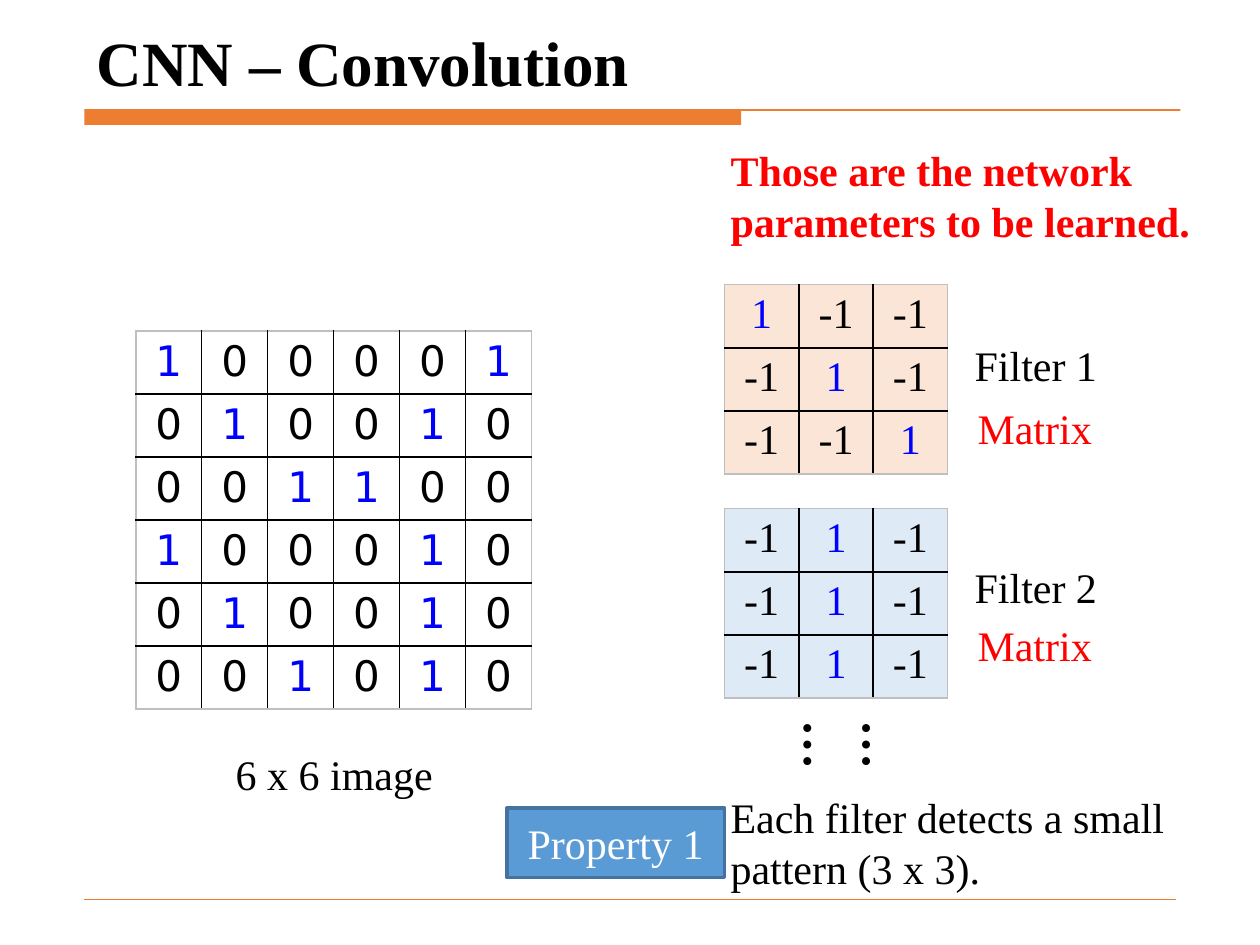
from lxml.etree import SubElement
from pptx import Presentation
from pptx.dml.color import RGBColor
from pptx.enum.shapes import MSO_CONNECTOR, MSO_SHAPE
from pptx.enum.text import MSO_ANCHOR, MSO_AUTO_SIZE, PP_ALIGN
from pptx.oxml.ns import qn
from pptx.util import Pt

SERIF, SANS = "Times New Roman", "DejaVu Sans"
BLACK, BLUE, RED, ORANGE = "000000", "0000FF", "FF0000", "ED7D31"
IMAGE = ["100001", "010010", "001100", "100010", "010010", "001010"]
FILTERS = [
    ("Filter 1", "FBE5D6", [(1, -1, -1), (-1, 1, -1), (-1, -1, 1)], 162.7, 28, 63.8),
    ("Filter 2", "DEEBF7", [(-1, 1, -1)] * 3, 290.7, 26.6, 59.6),
]


def rgb(value):
    """Turn a hex string into a colour."""
    return RGBColor.from_string(value)


def write(tf, text, size=24, color=BLACK, bold=False, font=SERIF, align=PP_ALIGN.LEFT):
    """Write one formatted paragraph into a text frame."""
    p = tf.paragraphs[0]
    p.alignment = align
    r = p.add_run()
    r.text = text
    r.font.name, r.font.size, r.font.bold = font, Pt(size), bold
    r.font.color.rgb = rgb(color)


def add_text(slide, box, text, rotation=0, **fmt):
    """Add a wrapped text box."""
    sp = slide.shapes.add_textbox(*map(Pt, box))
    sp.rotation = rotation
    sp.text_frame.word_wrap = True
    write(sp.text_frame, text, **fmt)


def paint(sp, fill, border=None):
    """Give a shape a flat fill and an optional border colour."""
    sp.shadow.inherit = False
    sp.fill.solid()
    sp.fill.fore_color.rgb = rgb(fill)
    if border:
        sp.line.color.rgb = rgb(border)
        sp.line.width = Pt(2)
    else:
        sp.line.fill.background()


def add_footer_rule(slide, left, y, width):
    """Add the thin orange line near the foot of the slide."""
    rule = slide.shapes.add_connector(MSO_CONNECTOR.STRAIGHT, Pt(left), Pt(y), Pt(left + width), Pt(y))
    rule._element.remove(rule._element.find(qn("p:style")))
    rule.line.color.rgb = rgb(ORANGE)
    rule.line.width = Pt(0.25)
    SubElement(rule._element.spPr, qn("a:effectLst"))


def set_borders(cell, outer):
    """Draw black inner edges and grey edges on the named outer sides."""
    for side in "LRTB":
        ln = SubElement(cell._tc.get_or_add_tcPr(), qn(f"a:ln{side}"), w=str(Pt(1)))
        fill = SubElement(ln, qn("a:solidFill"))
        SubElement(fill, qn("a:srgbClr"), val="BFBFBF" if side in outer else BLACK)


def add_matrix(slide, left, top, col_width, values, font=SERIF, fill=None):
    """Add a grid of numbers with every 1 in blue."""
    rows, cols, height = len(values), len(values[0]), 36
    frame = slide.shapes.add_table(rows, cols, Pt(left), Pt(top), Pt(col_width * cols), Pt(height * rows))
    table = frame.table
    table.first_row = table.horz_banding = False
    for col in table.columns:
        col.width = Pt(col_width)
    for i, row in enumerate(values):
        for j, value in enumerate(row):
            cell = table.cell(i, j)
            edges = {"L": j == 0, "R": j == cols - 1, "T": i == 0, "B": i == rows - 1}
            set_borders(cell, [side for side, on in edges.items() if on])
            if fill:
                cell.fill.solid()
                cell.fill.fore_color.rgb = rgb(fill)
            else:
                cell.fill.background()
            text = str(value)
            write(cell.text_frame, text, font=font, align=PP_ALIGN.CENTER,
                  color=BLUE if text == "1" else BLACK)


def add_header(slide, left, top, width, height, text):
    """Place the title with the stepped orange bar below it."""
    title = slide.shapes.title
    title.left, title.top, title.width, title.height = map(Pt, (left, top, width, height))
    tf = title.text_frame
    tf.auto_size = MSO_AUTO_SIZE.NONE
    tf.vertical_anchor = MSO_ANCHOR.BOTTOM
    write(tf, text, size=36, bold=True)
    y, step, right = top + height + 1.9, left + 375.3, left + 626.4
    corners = [(right, y), (right, y + 1), (step, y + 1), (step, y + 9), (left, y + 9)]
    builder = slide.shapes.build_freeform(Pt(left), Pt(y))
    builder.add_line_segments([(Pt(px), Pt(py)) for px, py in corners], close=True)
    paint(builder.convert_to_shape(), ORANGE)


def add_image(slide, left, top):
    """Place the input image grid and its caption."""
    add_matrix(slide, left, top, 37.7, IMAGE, font=SANS)
    add_text(slide, (left + 20.9, top + 235.2, 185, 36), "6 x 6 image", align=PP_ALIGN.CENTER)


def add_filter(slide, left, top, name, fill, values, name_dy, matrix_dy):
    """Place a filter matrix with its two labels on the right."""
    add_matrix(slide, left, top, 42.5, values, fill=fill)
    add_text(slide, (left + 121, top + name_dy, 113.8, 36), name, align=PP_ALIGN.CENTER)
    add_text(slide, (left + 137.5, top + matrix_dy, 80.6, 36), "Matrix", color=RED)


def add_property(slide, left, top, width, height):
    """Place the property tag and its explanation."""
    tag = slide.shapes.add_shape(MSO_SHAPE.RECTANGLE, *map(Pt, (left, top, width, height)))
    paint(tag, "5B9BD5", "43739E")
    tag.text_frame.vertical_anchor = MSO_ANCHOR.MIDDLE
    write(tag.text_frame, "Property 1", color="FFFFFF", align=PP_ALIGN.CENTER)
    add_text(slide, (left + width - 3.6, top - 13, 280, 65.4),
             "Each filter detects a small pattern (3 x 3).")


def main():
    """Build and save the slide."""
    prs = Presentation()
    prs.slide_width, prs.slide_height = Pt(720), Pt(540)
    slide = prs.slides.add_slide(prs.slide_layouts[5])
    add_header(slide, 48.2, 15.1, 629.3, 45.4, "CNN – Convolution")
    add_footer_rule(slide, 48.2, 514, 623.6)
    add_image(slide, 77.6, 189)
    add_text(slide, (410.4, 79.2, 280, 65.4),
             "Those are the network parameters to be learned.", color=RED, bold=True)
    for name, fill, values, top, name_dy, matrix_dy in FILTERS:
        add_filter(slide, 414, top, name, fill, values, name_dy, matrix_dy)
    add_text(slide, (459.4, 395, 55.4, 75), "……", rotation=90, size=28, bold=True)
    add_property(slide, 289.6, 461.8, 124.4, 39.6)
    prs.save("out.pptx")


if __name__ == "__main__":
    main()
